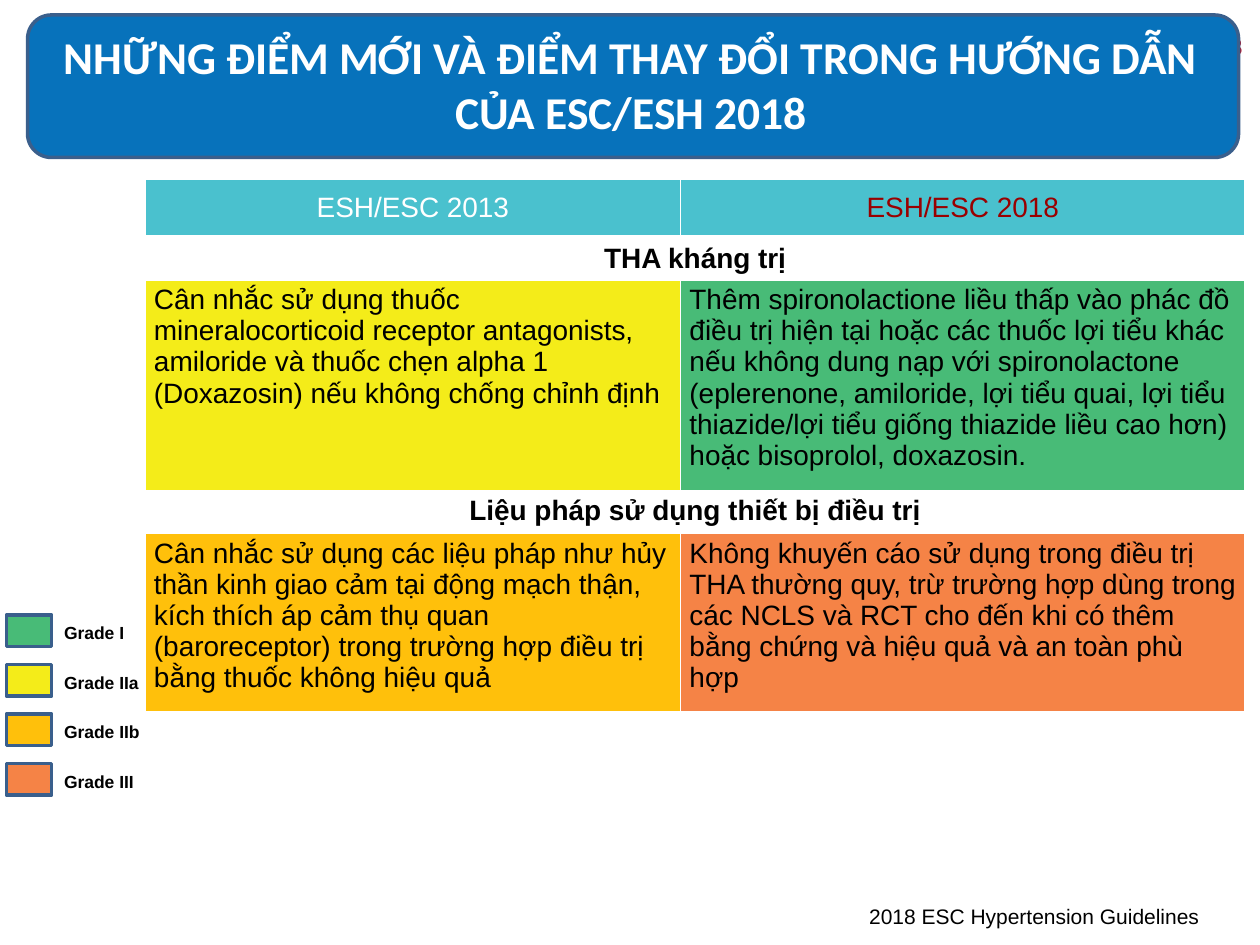
from lxml import etree
from pptx import Presentation
from pptx import util as u
from pptx.dml.color import RGBColor
from pptx.enum import shapes, text
from pptx.oxml.ns import qn

Pt = u.Pt
COLORS = {
    "white": "FFFFFF", "black": "000000", "header": "4AC1CE",
    "dark red": "990000", "crimson": "AF122A",
    "banner": "0772BB", "outline": "3A5F8C",
    "I": "48BB77", "IIa": "F4EC19", "IIb": "FFC00B", "III": "F58346",
}
CENTER = text.PP_ALIGN.CENTER
MIDDLE = text.MSO_ANCHOR.MIDDLE


def write(frame, words, color="black", align=None, **font_format):
    frame.text = words
    para = frame.paragraphs[0]
    para.alignment = align
    font = para.runs[0].font
    for name, value in {"name": "Arial", "bold": False, **font_format}.items():
        setattr(font, name, value)
    font.color.rgb = RGBColor.from_string(COLORS[color])


def add_block(kind, fill, left, top, width, height):
    block = page.shapes.add_shape(kind, Pt(left), Pt(top), Pt(width), Pt(height))
    block.shadow.inherit = False
    block.fill.solid()
    block.fill.fore_color.rgb = RGBColor.from_string(COLORS[fill])
    block.line.color.rgb = RGBColor.from_string(COLORS["outline"])
    block.line.width = Pt(2)


deck = Presentation()
deck.slide_width, deck.slide_height = Pt(720), Pt(540)
page = deck.slides.add_slide(deck.slide_layouts[5])

# Guideline tag, mostly behind the banner
tag = page.shapes.add_textbox(Pt(625.7), Pt(14.4), Pt(93), Pt(24))
tag.text_frame.word_wrap = False
write(tag.text_frame, "ESC/ESH 2018", "crimson", name="Calibri", size=Pt(13.5), bold=True)

# Comparison table: each cell is (words, text color, fill); one cell spans the row
rows = [
    (33, [("ESH/ESC 2013", "white", "header"), ("ESH/ESC 2018", "dark red", "header")]),
    (24.5, [("THA kháng trị", "black", None)]),
    (120.5, [
        ("Cân nhắc sử dụng thuốc mineralocorticoid receptor antagonists, amiloride và "
         "thuốc chẹn alpha 1 (Doxazosin) nếu không chống chỉnh định", "black", "IIa"),
        ("Thêm spironolactione liều thấp vào phác đồ điều trị hiện tại hoặc các thuốc "
         "lợi tiểu khác nếu không dung nạp với spironolactone (eplerenone, amiloride, "
         "lợi tiểu quai, lợi tiểu thiazide/lợi tiểu giống thiazide liều cao hơn) hoặc "
         "bisoprolol, doxazosin.", "black", "I")]),
    (24.5, [("Liệu pháp sử dụng thiết bị điều trị", "black", None)]),
    (101.5, [
        ("Cân nhắc sử dụng các liệu pháp như hủy thần kinh giao cảm tại động mạch thận, "
         "kích thích áp cảm thụ quan (baroreceptor) trong trường hợp điều trị bằng thuốc "
         "không hiệu quả", "black", "IIb"),
        ("Không khuyến cáo sử dụng trong điều trị THA thường quy, trừ trường hợp dùng "
         "trong các NCLS và RCT cho đến khi có thêm bằng chứng và hiệu quả và an toàn "
         "phù hợp", "black", "III")]),
]
table = page.shapes.add_table(len(rows), 2, Pt(83), Pt(102.5), Pt(628.5), Pt(304)).table
table.horz_banding = False
for column, width in zip(table.columns, (306, 322.5)):
    column.width = Pt(width)

for row_index, (height, entries) in enumerate(rows):
    table.rows[row_index].height = Pt(height)
    spans = len(entries) == 1
    if spans:
        table.cell(row_index, 0).merge(table.cell(row_index, 1))
    for column_index, (words, color, fill) in enumerate(entries):
        cell = table.cell(row_index, column_index)
        centered = spans or row_index == 0
        write(cell.text_frame, words, color, CENTER if centered else None,
              size=Pt(16), bold=spans)
        cell_format = {"margin_left": Pt(5), "margin_right": Pt(5),
                       "margin_top": Pt(2.6), "margin_bottom": Pt(2.6),
                       "vertical_anchor": MIDDLE if row_index < 2 else text.MSO_ANCHOR.TOP}
        for name, value in cell_format.items():
            setattr(cell, name, value)
        # Borders go before the fill in the cell properties
        properties = cell._tc.get_or_add_tcPr()
        for side in ("lnL", "lnR", "lnT", "lnB"):
            weight = 3 if row_index == 0 and side == "lnB" else 1
            border = etree.SubElement(properties, qn(f"a:{side}"), w=str(Pt(weight)))
            solid = etree.SubElement(border, qn("a:solidFill"))
            etree.SubElement(solid, qn("a:srgbClr"), val=COLORS["white"])
        if fill:
            cell.fill.solid()
            cell.fill.fore_color.rgb = RGBColor.from_string(COLORS[fill])
        else:
            cell.fill.background()

# Banner with the title on top of it
add_block(shapes.MSO_SHAPE.ROUNDED_RECTANGLE, "banner", 15.8, 8.6, 692, 81.4)
title = page.shapes.title
page.shapes._spTree.append(title._element)
title.left, title.top, title.width, title.height = Pt(15.8), Pt(7.2), Pt(690), Pt(81.4)
title.text_frame.vertical_anchor = MIDDLE
title.text_frame.auto_size = text.MSO_AUTO_SIZE.NONE
write(title.text_frame, "NHỮNG ĐIỂM MỚI VÀ ĐIỂM THAY ĐỔI TRONG HƯỚNG DẪN CỦA ESC/ESH 2018",
      "white", CENTER, name="Calibri", size=Pt(26), bold=True)

# Legend of recommendation grades
for index, grade in enumerate(("I", "IIa", "IIb", "III")):
    top = 351.4 + 28.3 * index
    add_block(shapes.MSO_SHAPE.RECTANGLE, grade, 3.6, top, 26, 18)
    label = page.shapes.add_textbox(Pt(29.5), Pt(top + 0.7), Pt(65), Pt(20))
    label.text_frame.word_wrap = True
    write(label.text_frame, f"Grade {grade}", size=Pt(10), bold=True)

# Reference
reference = page.shapes.add_textbox(Pt(489.6), Pt(512.6), Pt(220), Pt(21.6))
reference.text_frame.word_wrap = True
write(reference.text_frame, "2018 ESC Hypertension Guidelines", size=Pt(12))

deck.save("out.pptx")
